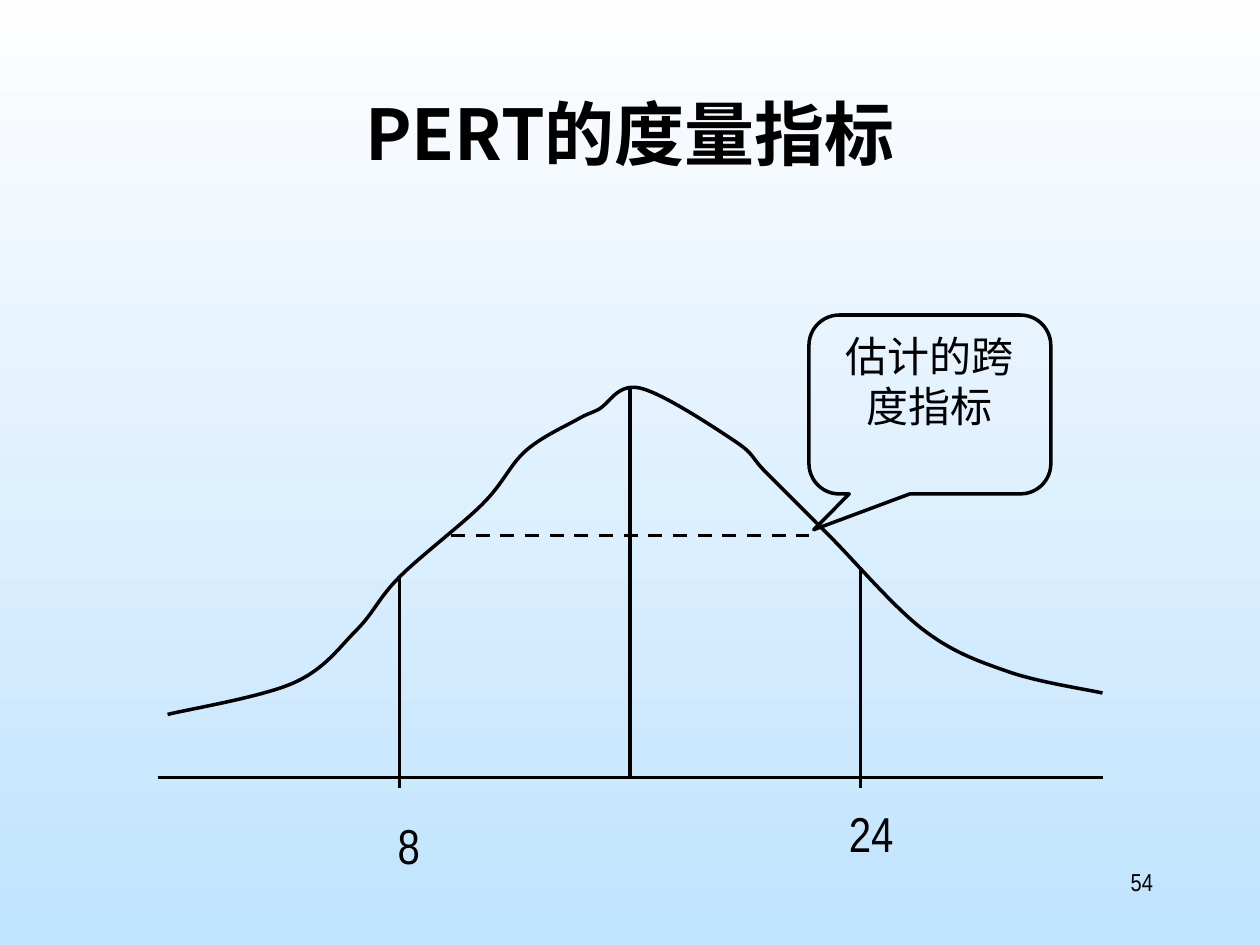
from lxml import etree
from pptx import Presentation
from pptx.dml.color import RGBColor
from pptx.enum.dml import MSO_LINE
from pptx.enum.shapes import MSO_CONNECTOR, MSO_SHAPE
from pptx.enum.text import MSO_ANCHOR, PP_ALIGN
from pptx.oxml.ns import qn
from pptx.util import Inches, Pt

STRAIGHT = MSO_CONNECTOR.STRAIGHT
CALLOUT = MSO_SHAPE.ROUNDED_RECTANGULAR_CALLOUT
DASH = MSO_LINE.DASH
CENTER, RIGHT = PP_ALIGN.CENTER, PP_ALIGN.RIGHT
TOP = MSO_ANCHOR.TOP

BLACK = RGBColor(0x00, 0x00, 0x00)
SKY_TOP = RGBColor(0xFE, 0xFE, 0xFE)
SKY_BOTTOM = RGBColor(0xC0, 0xE3, 0xFE)
BODY_FONT = "Arial Narrow"
TITLE_FONT = "Noto Sans CJK SC"

# Points the bell curve passes through
CURVE_POINTS = [
    (1.33, 5.67), (2.33, 5.42), (2.83, 5), (3.17, 4.58), (3.83, 4),
    (4.17, 3.58), (4.58, 3.33), (4.75, 3.25), (5.08, 3.08), (5.83, 3.5),
    (6.08, 3.75), (6.58, 4.25), (7.33, 5), (8, 5.33), (8.75, 5.5),
]
AXIS_Y = 6.17
TICK_END = 6.25


def write_text(frame, text, size, font=BODY_FONT, bold=False, align=CENTER):
    frame.word_wrap = True
    frame.vertical_anchor = TOP
    paragraph = frame.paragraphs[0]
    paragraph.alignment = align
    run = paragraph.add_run()
    run.text = text
    run.font.size = Pt(size)
    run.font.bold = bold
    run.font.name = font
    run.font.color.rgb = BLACK
    east_asian = etree.SubElement(run.font._element, qn("a:ea"))
    east_asian.set("typeface", font)


def smooth(shape):
    """Turn the straight segments of a freeform into a Catmull-Rom curve."""
    outline = shape._element.find(".//" + qn("a:path"))
    nodes = [(int(p.get("x")), int(p.get("y"))) for p in outline.iter(qn("a:pt"))]
    padded = [nodes[0], *nodes, nodes[-1]]
    segments = outline.findall(qn("a:lnTo"))
    for segment, before, start, end, after in zip(
            segments, padded, padded[1:], padded[2:], padded[3:]):
        controls = [
            [s + (e - b) / 6 for b, s, e in zip(before, start, end)],
            [e - (a - s) / 6 for s, e, a in zip(start, end, after)],
            end,
        ]
        curve = etree.Element(qn("a:cubicBezTo"))
        for x, y in controls:
            etree.SubElement(curve, qn("a:pt"), x=str(round(x)), y=str(round(y)))
        outline.replace(segment, curve)


class Drawing:
    """Holds the slide and the line style shared by its elements."""

    def __init__(self, slide, color=BLACK, width=2):
        self.slide = slide
        self.color = color
        self.width = Pt(width)

    def stroke(self, line):
        line.color.rgb = self.color
        line.width = self.width

    def background(self, first, last):
        fill = self.slide.background.fill
        fill.gradient()
        fill.gradient_angle = 270
        for stop, color, position in zip(fill.gradient_stops, (first, last), (0, 1)):
            stop.color.rgb = color
            stop.position = position

    def text(self, text, left, top, width, height, **style):
        box = self.slide.shapes.add_textbox(
            Inches(left), Inches(top), Inches(width), Inches(height))
        write_text(box.text_frame, text, **style)

    def line(self, x1, y1, x2, y2, dash=None):
        connector = self.slide.shapes.add_connector(
            STRAIGHT, Inches(x1), Inches(y1), Inches(x2), Inches(y2))
        self.stroke(connector.line)
        connector.line.dash_style = dash
        etree.SubElement(connector._element.spPr, qn("a:effectLst"))

    def curve(self, points):
        start, *others = [(Inches(x), Inches(y)) for x, y in points]
        builder = self.slide.shapes.build_freeform(*start)
        builder.add_line_segments(others, close=False)
        shape = builder.convert_to_shape()
        smooth(shape)
        shape.fill.background()
        self.stroke(shape.line)
        shape.shadow.inherit = False

    def callout(self, text, left, top, width, height, adjustments, **style):
        shape = self.slide.shapes.add_shape(
            CALLOUT, Inches(left), Inches(top), Inches(width), Inches(height))
        for index, value in enumerate(adjustments):
            shape.adjustments[index] = value
        shape.fill.background()
        self.stroke(shape.line)
        shape.shadow.inherit = False
        write_text(shape.text_frame, text, **style)


def main():
    presentation = Presentation()
    presentation.slide_width, presentation.slide_height = Inches(10), Inches(7.5)
    slide = presentation.slides.add_slide(presentation.slide_layouts[6])
    drawing = Drawing(slide)
    drawing.background(SKY_TOP, SKY_BOTTOM)

    # Title
    drawing.text("PERT的度量指标", 0.75, 0.67, 8.5, 1.25,
                 size=40, font=TITLE_FONT, bold=True)

    # Axis, centre line and bell curve
    drawing.line(1.25, AXIS_Y, 8.75, AXIS_Y)
    drawing.line(5, AXIS_Y, 5, 3.08)
    drawing.curve(CURVE_POINTS)

    # Limits of the estimate
    for x, top in ((3.17, 4.58), (6.83, 4.5)):
        drawing.line(x, top, x, TICK_END)
    for label, left, top in (("8", 2.83, 6.42), ("24", 6.5, 6.33)):
        drawing.text(label, left, top, 0.83, 0.57, size=28)

    # Span of the estimate
    drawing.line(3.58, 4.25, 6.42, 4.25, dash=DASH)
    drawing.callout("估计的跨度指标", 6.42, 2.5, 1.92, 1.42,
                    (-0.48, 0.7, 0.17), size=24)

    # Page number
    drawing.text("54", 7.17, 6.83, 2.08, 0.5, size=14, align=RIGHT)

    presentation.save("out.pptx")


if __name__ == "__main__":
    main()
